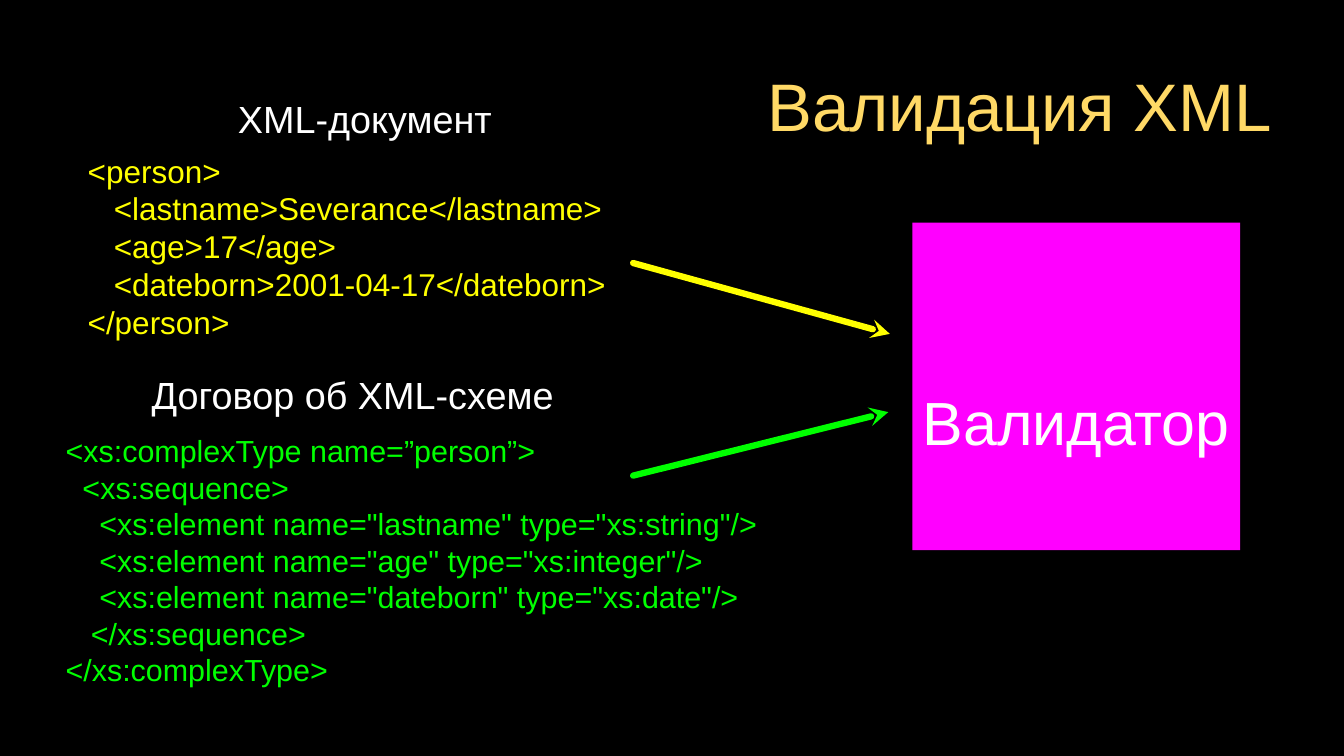
from lxml.etree import SubElement
from pptx import Presentation
from pptx.dml.color import RGBColor
from pptx.enum.shapes import MSO_CONNECTOR, MSO_SHAPE
from pptx.enum.text import MSO_ANCHOR, MSO_AUTO_SIZE, PP_ALIGN
from pptx.oxml.ns import qn
from pptx.util import Pt

WHITE, YELLOW, GREEN = "FFFFFF", "FFFF00", "00FF00"
MAGENTA, GOLD, BLACK = "FF00FF", "FFD966", "000000"
LEFT, CENTER = PP_ALIGN.LEFT, PP_ALIGN.CENTER

TITLE = (["Валидация XML"], (725, 60, 492, 79), 64, GOLD, CENTER)
VALIDATOR = (["Валидатор"], (869, 212, 312, 312), 58, WHITE, CENTER)
VALIDATOR_DROP = 66

DOCUMENT = [
    "<person>",
    "   <lastname>Severance</lastname>",
    "   <age>17</age>",
    "   <dateborn>2001-04-17</dateborn>",
    "</person>",
]
SCHEMA = [
    "<xs:complexType name=”person”>",
    "  <xs:sequence>",
    '    <xs:element name="lastname" type="xs:string"/>',
    '    <xs:element name="age" type="xs:integer"/>',
    '    <xs:element name="dateborn" type="xs:date"/>',
    "   </xs:sequence>",
    "</xs:complexType>",
]
TEXTS = [
    (["XML-документ"], (189, 88, 317, 49), 36, WHITE, CENTER),
    (DOCUMENT, (83.5, 143, 498, 183), 30, YELLOW, LEFT),
    (["Договор об XML-схеме"], (117, 351, 438, 49), 36, WHITE, CENTER),
    (SCHEMA, (62.5, 405, 698, 257), 29, GREEN, LEFT),
]
ARROWS = [
    ((603, 250.5), (847.5, 318), YELLOW),
    ((603, 453), (846, 392.5), GREEN),
]


def rgb(code):
    return RGBColor.from_string(code)


def points(values):
    return [Pt(value) for value in values]


def write(part, lines, size, color, align):
    frame = part.text_frame
    frame.word_wrap = True
    frame.auto_size = MSO_AUTO_SIZE.NONE
    frame.vertical_anchor = MSO_ANCHOR.MIDDLE
    frame.margin_left = frame.margin_right = 0
    frame.margin_top = frame.margin_bottom = 0
    for index, line in enumerate(lines):
        paragraph = frame.paragraphs[0] if index == 0 else frame.add_paragraph()
        paragraph.alignment = align
        run = paragraph.add_run()
        run.text = line
        run.font.name = "Arial"
        run.font.size = Pt(size)
        run.font.color.rgb = rgb(color)


def add_title(slide):
    lines, box, *style = TITLE
    title = slide.shapes.title
    title.left, title.top, title.width, title.height = points(box)
    write(title, lines, *style)


def add_validator(slide):
    lines, box, *style = VALIDATOR
    validator = slide.shapes.add_shape(MSO_SHAPE.RECTANGLE, *points(box))
    validator.shadow.inherit = False
    validator.fill.solid()
    validator.fill.fore_color.rgb = rgb(MAGENTA)
    validator.line.fill.background()
    write(validator, lines, *style)
    validator.text_frame.margin_top = Pt(VALIDATOR_DROP)


def add_arrow(slide, start, end, color):
    arrow = slide.shapes.add_connector(MSO_CONNECTOR.STRAIGHT, *points(start + end))
    arrow.line.color.rgb = rgb(color)
    arrow.line.width = Pt(6)
    properties = arrow.line._get_or_add_ln()
    properties.set("cap", "rnd")
    SubElement(properties, qn("a:tailEnd"), type="stealth")
    SubElement(arrow._element.spPr, qn("a:effectLst"))


def main():
    deck = Presentation()
    deck.slide_width, deck.slide_height = points((1280, 720))
    slide = deck.slides.add_slide(deck.slide_layouts[5])
    slide.background.fill.solid()
    slide.background.fill.fore_color.rgb = rgb(BLACK)
    add_title(slide)
    add_validator(slide)
    for lines, box, *style in TEXTS:
        write(slide.shapes.add_textbox(*points(box)), lines, *style)
    for start, end, color in ARROWS:
        add_arrow(slide, start, end, color)
    deck.save("out.pptx")


if __name__ == "__main__":
    main()
